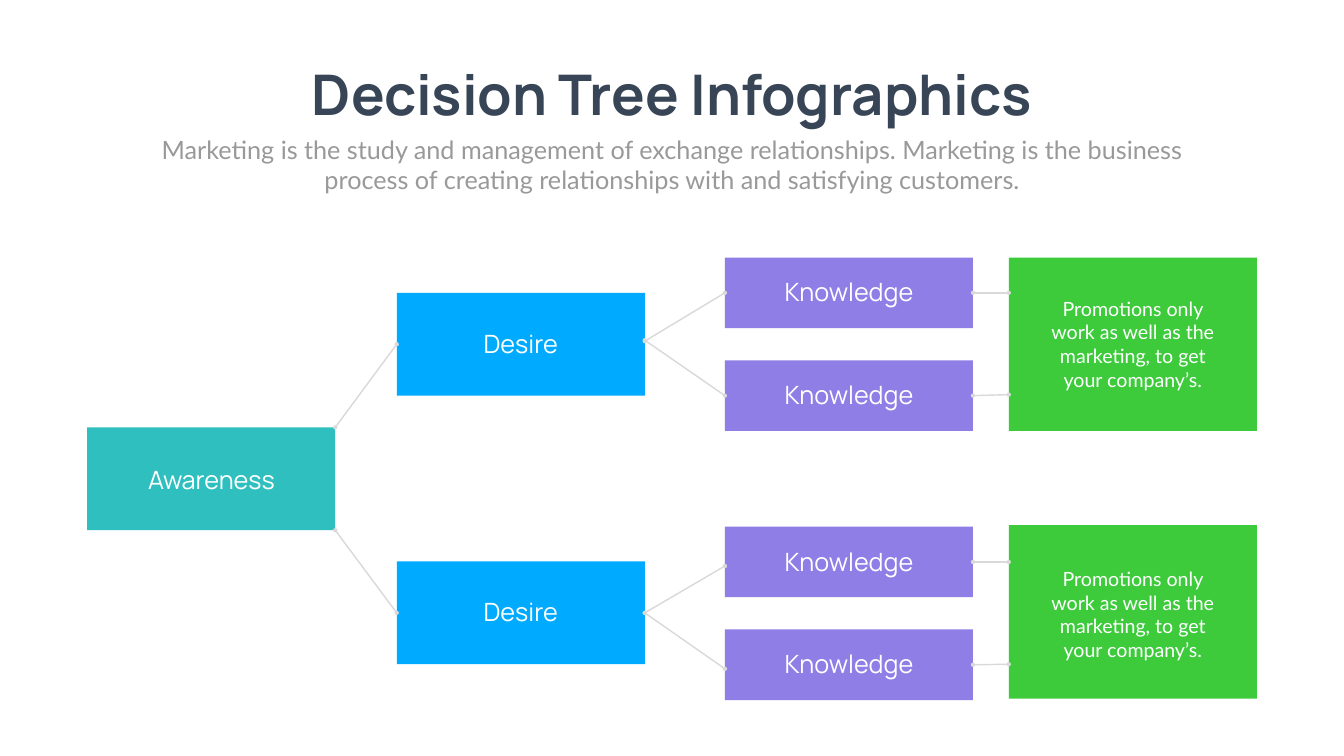
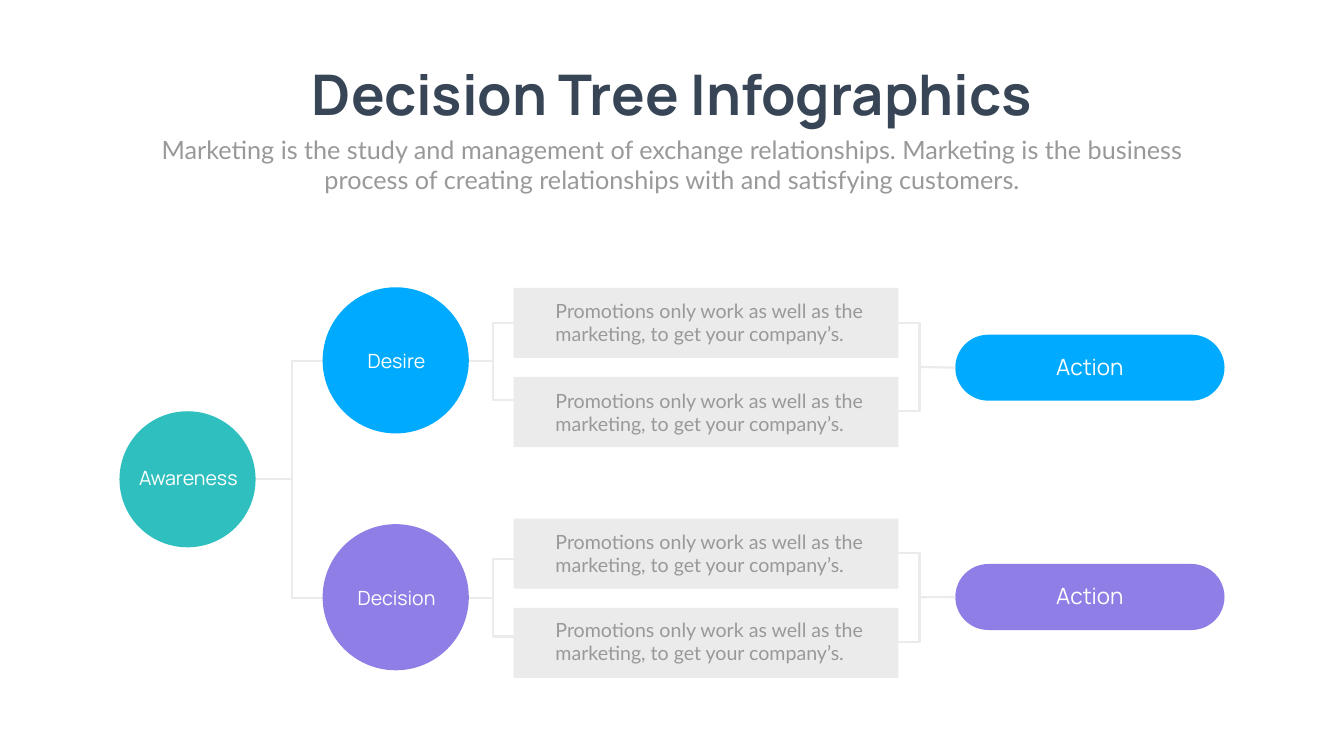
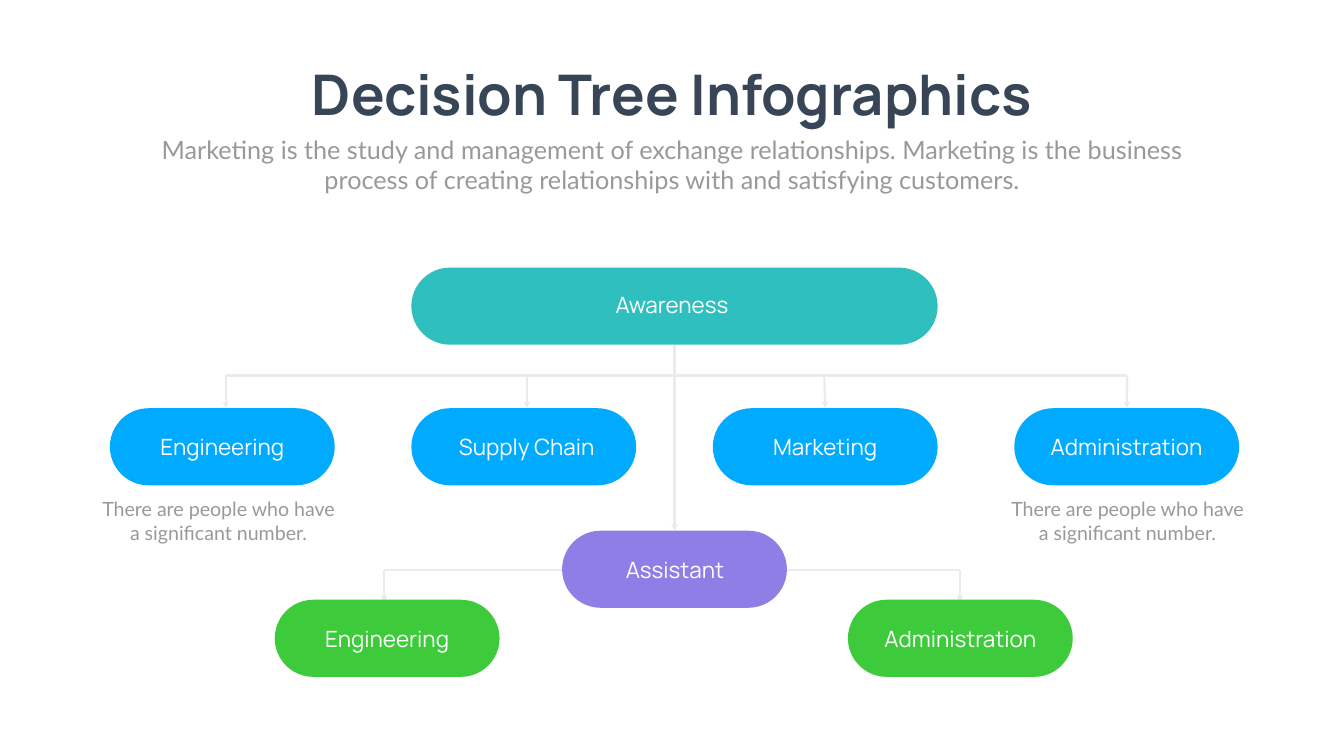
from dataclasses import dataclass

from lxml import etree
from pptx import Presentation
from pptx import util as u
from pptx.dml.color import RGBColor
from pptx.enum import shapes, text
from pptx.oxml.ns import qn

PX = 9144
WIDE, HIGH = 2666, 1500
TEAL, BLUE, PLUM, GREEN = "2FBFBF", "00AAFE", "8E7EE5", "3DCB3C"
INK, GRAY, RULE, PALE = "374556", "999999", "D9D9D9", "EBEBEB"
WHITE, PAPER = "FFFFFF", "FEFFFE"
HEAD, BODY = "Manrope", "Lato"
RECT = shapes.MSO_SHAPE.RECTANGLE
PILL = shapes.MSO_SHAPE.ROUNDED_RECTANGLE
OVAL = shapes.MSO_SHAPE.OVAL
MID = text.MSO_ANCHOR.MIDDLE
TOP = text.MSO_ANCHOR.TOP
LEFT = text.PP_ALIGN.LEFT
CENTER = text.PP_ALIGN.CENTER
PROMO = "Promotions only work as well as the marketing, to get your company’s."
CROWD = "There are people who have a significant number."
LEAD = ("Marketing is the study and management of exchange relationships. "
        "Marketing is the business process of creating relationships with "
        "and satisfying customers.")


@dataclass(frozen=True)
class Box:
    x: int
    y: int
    w: int
    h: int

    def sides(self) -> list[tuple[float, float]]:
        mid, half = self.x + self.w / 2, self.y + self.h / 2
        return [(mid, self.y), (self.x, half),
                (mid, self.y + self.h), (self.x + self.w, half)]


@dataclass(frozen=True)
class Node:
    box: Box
    fill: str
    label: str
    area: Box


def px(size: float) -> int:
    return round(size * PX)


def hue(code: str) -> RGBColor:
    return RGBColor.from_string(code)


def place(box: Box) -> list[int]:
    return [px(v) for v in (box.x, box.y, box.w, box.h)]


def write(slide, words: str, box: Box, *, size: int, font: str = HEAD,
          color: str = WHITE, bold: bool = False, align=CENTER,
          anchor=TOP, wrap: bool = True) -> None:
    frame = slide.shapes.add_textbox(*place(box)).text_frame
    frame.word_wrap = wrap
    frame.vertical_anchor = anchor
    frame.margin_left = frame.margin_right = px(10)
    frame.margin_top = frame.margin_bottom = px(5 if font == BODY else 3)
    para = frame.paragraphs[0]
    para.alignment = align
    run = para.add_run()
    run.text = words
    run.font.name, run.font.size, run.font.bold = font, u.Pt(size), bold
    run.font.color.rgb = hue(color)


def block(slide, kind, box: Box, fill: str):
    shape = slide.shapes.add_shape(kind, *place(box))
    shape.shadow.inherit = False
    shape.fill.solid()
    shape.fill.fore_color.rgb = hue(fill)
    shape.line.fill.background()
    if kind == PILL:
        shape.adjustments[0] = 0.5
    return shape


def draw(slide, kind, node: Node, size: int):
    shape = block(slide, kind, node.box, node.fill)
    write(slide, node.label, node.area, size=size)
    return shape, node.box


def wire(slide, x1: int, y1: int, x2: int, y2: int, *, color: str = PALE,
         width: int = 3, head: str = "", tail: str = "", near=()) -> None:
    line = slide.shapes.add_connector(
        shapes.MSO_CONNECTOR.STRAIGHT, px(x1), px(y1), px(x2), px(y2))
    line.line.color.rgb = hue(color)
    line.line.width = u.Pt(width)
    etree.SubElement(line._element.spPr, qn("a:effectLst"))
    stroke = line.line._get_or_add_ln()
    for tag, tip in (("a:headEnd", head), ("a:tailEnd", tail)):
        if tip:
            etree.SubElement(stroke, qn(tag), type=tip)
    for shape, box in near:
        for site, (x, y) in enumerate(box.sides()):
            if max(abs(x - x1), abs(y - y1)) <= 2:
                line.begin_connect(shape, site)
            if max(abs(x - x2), abs(y - y2)) <= 2:
                line.end_connect(shape, site)


def fork(slide, spine: int, ends: int, top: int, low: int) -> None:
    path = slide.shapes.build_freeform(ends, low, scale=PX)
    path.add_line_segments([(spine, low), (spine, top), (ends, top)],
                           close=False)
    shape = path.convert_to_shape()
    shape.shadow.inherit = False
    shape.fill.background()
    shape.line.color.rgb = hue(PALE)
    shape.line.width = u.Pt(3)


def start(deck):
    slide = deck.slides.add_slide(deck.slide_layouts[6])
    slide.background.fill.solid()
    slide.background.fill.fore_color.rgb = hue(PAPER)
    write(slide, "Decision Tree Infographics", Box(558, 112, 1551, 145),
          size=80, color=INK, bold=True, anchor=MID, wrap=False)
    write(slide, LEAD, Box(292, 261, 2082, 131),
          size=36, font=BODY, color=GRAY)
    return slide


def tree(deck) -> None:
    slide = start(deck)
    nodes = [Node(Box(173, 848, 492, 204), TEAL, "Awareness",
                  Box(205, 918, 429, 71))]
    for y in (581, 1114):
        nodes.append(Node(Box(787, y, 492, 204), BLUE, "Desire",
                          Box(838, y + 67, 390, 71)))
    for y in (511, 715, 1045, 1249):
        nodes.append(Node(Box(1438, y, 492, 140), PLUM, "Knowledge",
                          Box(1489, y + 35, 390, 71)))
    near = [draw(slide, RECT, node, 36) for node in nodes]
    for y, words in ((511, 584), (1042, 1120)):
        block(slide, RECT, Box(2001, y, 492, 344), GREEN)
        write(slide, PROMO, Box(2055, words, 384, 199), size=28, font=BODY)
    links = [(1279, 677, 1438, 581), (1279, 675, 1438, 785),
             (1279, 1218, 1438, 1123), (1279, 1216, 1438, 1327),
             (665, 848, 787, 683), (665, 1052, 787, 1216)]
    links += [(1930, y, 2001, y) for y in (581, 783, 1115, 1318)]
    for link in links:
        wire(slide, *link, color=RULE, width=2,
             head="oval", tail="oval", near=near)


def flow(deck) -> None:
    slide = start(deck)
    wire(slide, 444, 951, 580, 951)
    fork(slide, 580, 978, 716, 1186)
    for y, top in ((718, 641), (1187, 1110)):
        wire(slide, 782, y, 918, y)
        fork(slide, 978, 1021, top, top + 153)
    for y, words in ((571, 588), (748, 766), (1029, 1046), (1206, 1221)):
        block(slide, RECT, Box(1019, y, 763, 139), PALE)
        write(slide, PROMO, Box(1092, words, 646, 104),
              size=28, font=BODY, color=GRAY, align=LEFT)
    for node in (
            Node(Box(640, 570, 290, 290), BLUE, "Desire",
                 Box(629, 689, 315, 57)),
            Node(Box(640, 1040, 290, 290), PLUM, "Decision",
                 Box(629, 1160, 315, 57)),
            Node(Box(237, 816, 270, 270), TEAL, "Awareness",
                 Box(237, 922, 273, 57))):
        draw(slide, OVAL, node, 28)
    for y, fill, top, mid in ((664, BLUE, 641, 728),
                              (1119, PLUM, 1098, 1185)):
        fork(slide, 1824, 1782, top, top + 175)
        near = draw(slide, PILL, Node(Box(1895, y, 534, 131), fill, "Action",
                                      Box(1992, y + 34, 340, 64)), 32)
        wire(slide, 1824, mid, 1895, mid, near=[near])


def chart(deck) -> None:
    slide = start(deck)
    wire(slide, 762, 1131, 1904, 1131)
    wire(slide, 448, 745, 2236, 745)
    for x in (762, 1904):
        wire(slide, x, 1195, x, 1130, head="triangle")
    nodes = [Node(Box(816, 531, 1044, 153), TEAL, "Awareness",
                  Box(1045, 574, 576, 64))]
    teams = ("Engineering", "Supply Chain", "Marketing", "Administration")
    for i, team in enumerate(teams):
        x = 218 + 598 * i
        shift = 6 if i == 1 else 0
        nodes.append(Node(Box(x, 810, 446, 153), BLUE, team,
                          Box(x + shift, 857, 446, 58)))
    nodes.append(Node(Box(1115, 1053, 446, 153), PLUM, "Assistant",
                      Box(1125, 1101, 428, 58)))
    for x, team in ((545, teams[0]), (1682, teams[-1])):
        nodes.append(Node(Box(x, 1190, 446, 153), GREEN, team,
                          Box(x, 1237, 446, 58)))
    near = [draw(slide, PILL, node, 32) for node in nodes]
    for x in (448, 1045, 1635, 2236):
        wire(slide, x, 810, x, 745, head="triangle", near=near)
    wire(slide, 1338, 1053, 1338, 684, head="triangle", near=near)
    for x in (181, 1984):
        write(slide, CROWD, Box(x, 981, 505, 104),
              size=28, font=BODY, color=GRAY)


def main() -> None:
    deck = Presentation()
    deck.slide_width, deck.slide_height = px(WIDE), px(HIGH)
    for build in (tree, flow, chart):
        build(deck)
    deck.save("out.pptx")


if __name__ == "__main__":
    main()
